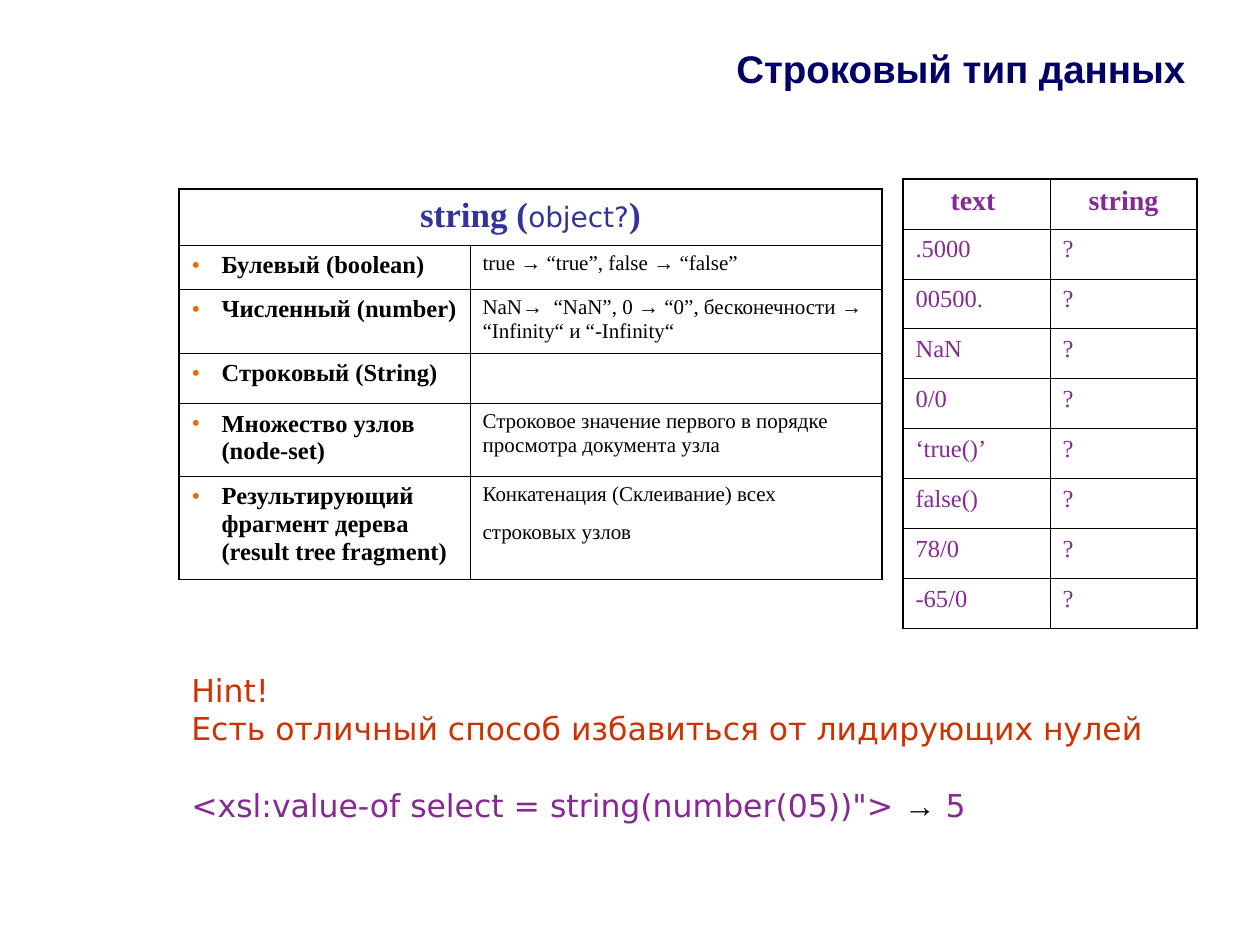
from dataclasses import dataclass
from lxml.etree import SubElement
from pptx import Presentation
from pptx.dml.color import RGBColor
from pptx.enum.text import MSO_ANCHOR, PP_ALIGN
from pptx.oxml.ns import qn
from pptx.util import Pt

ARROW = "→"
SERIF, SANS, ARIAL = "Times New Roman", "DejaVu Sans", "Arial"
BLACK, NAVY, INDIGO = "000000", "000066", "333399"
PURPLE, RED, ORANGE = "862995", "CC3300", "E96807"


def px(length):
    return round(length * 914400 / 126)


def rgb(color):
    return RGBColor.from_string(color)


@dataclass(frozen=True)
class TextStyle:
    size: float
    face: str = SERIF
    color: str = BLACK
    bold: bool = False
    before: float = 0
    spacing: float = 1.02
    align: PP_ALIGN = PP_ALIGN.LEFT
    bullet: str = ""


def set_font(font, style):
    font.size, font.name, font.bold = Pt(style.size), style.face, style.bold
    font.color.rgb = rgb(style.color)


def split_arrows(text, style):
    arrow_style = TextStyle(style.size, ARIAL)
    for index, words in enumerate(text.split(ARROW)):
        if index:
            yield ARROW, arrow_style
        yield words, style


class SlideBuilder:
    thin, thick = 0.45, 1.08

    def __init__(self, slide):
        self.slide = slide

    def set_paragraph(self, paragraph, pieces, style):
        if isinstance(pieces, str):
            pieces = list(split_arrows(pieces, style))
        paragraph.alignment = style.align
        paragraph.line_spacing = style.spacing
        paragraph.space_before = Pt(style.before)
        if style.bullet:
            self.add_bullet(paragraph, style.bullet)
        set_font(paragraph.font, style)
        for words, piece_style in pieces:
            run = paragraph.add_run()
            run.text = words
            if len(pieces) > 1:
                set_font(run.font, piece_style)

    def add_bullet(self, paragraph, color):
        properties = paragraph._p.get_or_add_pPr()
        properties.set("marL", str(px(30)))
        properties.set("indent", str(-px(30)))
        bullet_color = SubElement(properties, qn("a:buClr"))
        SubElement(bullet_color, qn("a:srgbClr"), val=color)
        SubElement(properties, qn("a:buFont"), typeface=SERIF)
        SubElement(properties, qn("a:buChar"), char="•")

    def add_text(self, left, top, width, height, lines, anchor=MSO_ANCHOR.TOP):
        box = self.slide.shapes.add_textbox(px(left), px(top), px(width), px(height))
        frame = box.text_frame
        frame.word_wrap, frame.vertical_anchor = True, anchor
        for index, (text, style) in enumerate(lines):
            paragraph = frame.add_paragraph() if index else frame.paragraphs[0]
            self.set_paragraph(paragraph, text, style)

    def add_border(self, cell, side, points):
        line = SubElement(cell._tc.get_or_add_tcPr(), qn(f"a:ln{side}"), w=str(Pt(points)))
        fill = SubElement(line, qn("a:solidFill"))
        SubElement(fill, qn("a:srgbClr"), val=BLACK)

    def add_table(self, left, top, widths, heights, rows):
        frame = self.slide.shapes.add_table(
            len(heights), len(widths), px(left), px(top), px(sum(widths)), px(sum(heights)))
        table = frame.table
        table.first_row = table.horz_banding = False
        for column, width in zip(table.columns, widths):
            column.width = px(width)
        for row, height in zip(table.rows, heights):
            row.height = px(height)
        last_row, last_column = len(heights) - 1, len(widths) - 1
        for r, contents in enumerate(rows):
            if len(contents) == 1:
                table.cell(r, 0).merge(table.cell(r, last_column))
            for c in range(len(widths)):
                cell = table.cell(r, c)
                outer = {"L": c == 0, "R": c == last_column or cell.is_merge_origin,
                         "T": r == 0, "B": r == last_row}
                for side, is_outer in outer.items():
                    self.add_border(cell, side, self.thick if is_outer else self.thin)
                cell.fill.background()
                if c < len(contents):
                    self.set_paragraph(cell.text_frame.paragraphs[0], *contents[c])


def main():
    deck = Presentation()
    deck.slide_width, deck.slide_height = px(1260), px(945)
    builder = SlideBuilder(deck.slides.add_slide(deck.slide_layouts[6]))

    title = TextStyle(22, ARIAL, NAVY, True, spacing=1, align=PP_ALIGN.CENTER)
    builder.add_text(662, -10, 598, 157, [("Строковый тип данных", title)], MSO_ANCHOR.MIDDLE)

    hint = TextStyle(18, SANS, RED, before=4.5, spacing=0.8)
    code = TextStyle(18, SANS, PURPLE, before=26.5, spacing=0.8)
    builder.add_text(179, 672, 1018, 199, [
        ("Hint!", hint),
        ("Есть отличный способ избавиться от лидирующих нулей", hint),
        ('<xsl:value-of select = string(number(05))"> → 5', code),
    ])

    heading = TextStyle(20, color=INDIGO, bold=True, before=5, align=PP_ALIGN.CENTER)
    heading_note = TextStyle(16, SANS, INDIGO)
    source_type = TextStyle(14, bold=True, before=3.5, bullet=ORANGE)
    rule = TextStyle(12, before=3)
    last_rule = TextStyle(12, before=5)
    conversions = [
        ("Булевый (boolean)", "true → “true”, false → “false”", rule),
        ("Численный (number)",
         "NaN→  “NaN”, 0 → “0”, бесконечности → “Infinity“ и “-Infinity“", rule),
        ("Строковый (String)", "", rule),
        ("Множество узлов (node-set)",
         "Строковое значение первого в порядке просмотра документа узла", rule),
        ("Результирующий фрагмент дерева (result tree fragment)",
         [("Конкатенация (Склеивание) всех строковых узлов", last_rule),
          (" ", TextStyle(20, SANS))], last_rule),
    ]
    header = [("string (", heading), ("object?", heading_note), (")", heading)]
    builder.add_table(
        179, 189, [291, 412], [56, 44, 64, 49, 73, 103],
        [[(header, heading)]]
        + [[(kind, source_type), (result, style)] for kind, result, style in conversions])

    column_title = TextStyle(16, color=PURPLE, bold=True, before=4, align=PP_ALIGN.CENTER)
    example = TextStyle(14, color=PURPLE, before=3.5)
    samples = [".5000", "00500.", "NaN", "0/0", "‘true()’", "false()", "78/0", "-65/0"]
    builder.add_table(
        903, 179, [147] * 2, [50] * (len(samples) + 1),
        [[("text ", column_title), ("string", column_title)]]
        + [[(sample, example), ("?", example)] for sample in samples])

    deck.save("out.pptx")


if __name__ == "__main__":
    main()
